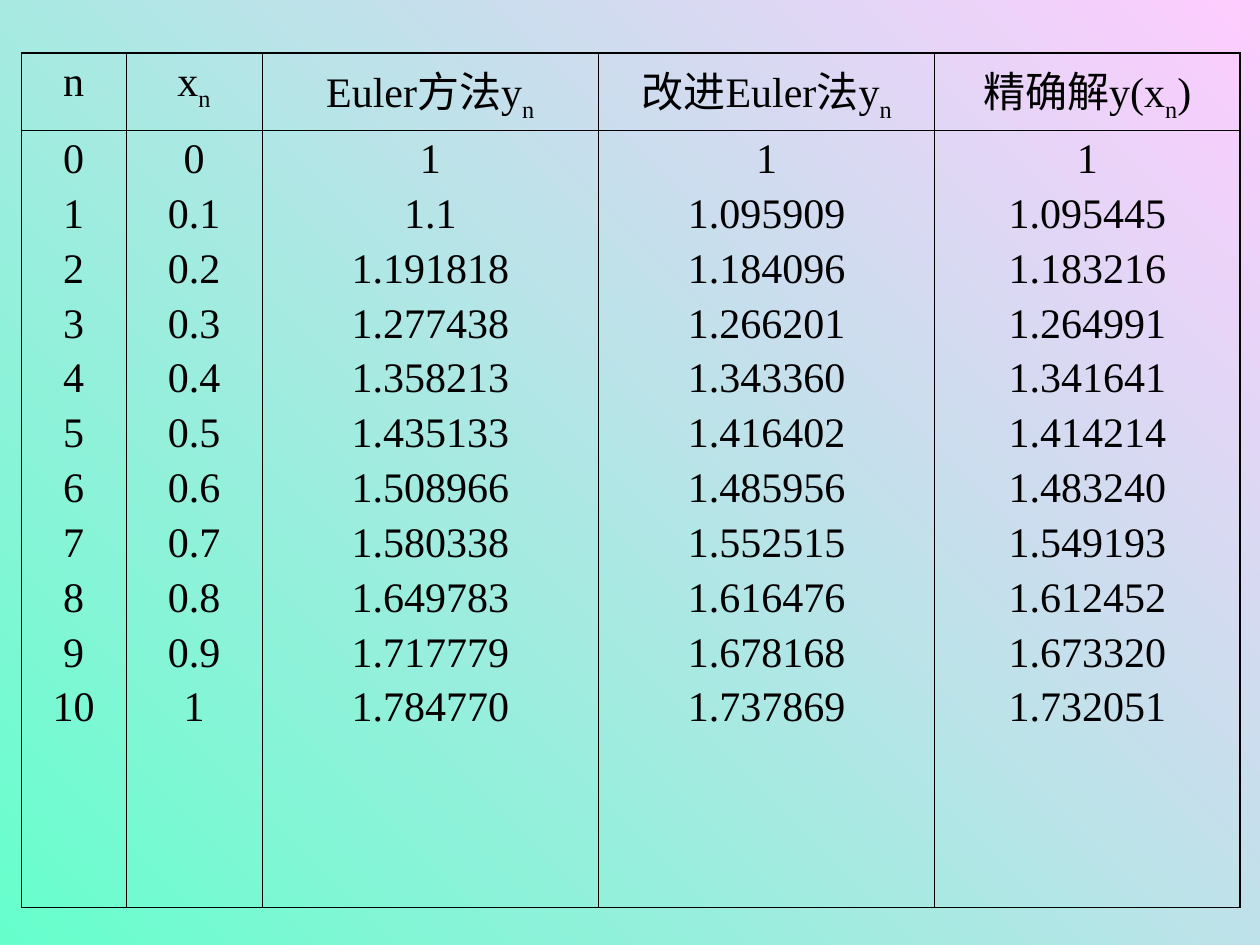
from dataclasses import dataclass

from lxml.etree import SubElement
from pptx import Presentation
from pptx.dml.color import RGBColor
from pptx.enum.text import PP_ALIGN
from pptx.oxml.ns import qn
from pptx.util import Inches, Pt


@dataclass(frozen=True)
class Theme:
    ink: str = "000000"
    gradient: tuple = ("66FFCC", "FFCCFF")
    font: str = "Times New Roman"
    size: float = 24
    paragraph_gap: float = 4.8
    outer_line: float = 1.08
    inner_line: float = 0.45


theme = Theme()


def add_text(paragraph, text, subscript=False):
    run = paragraph.add_run()
    run.text = text
    run.font.name = theme.font
    run.font.size = Pt(theme.size)
    run.font.color.rgb = RGBColor.from_string(theme.ink)
    if subscript:
        run.font._element.set("baseline", "-25000")


def set_border(cell, side, width):
    line = SubElement(cell._tc.get_or_add_tcPr(), qn(f"a:ln{side}"), w=str(Pt(width)))
    fill = SubElement(line, qn("a:solidFill"))
    SubElement(fill, qn("a:srgbClr"), val=theme.ink)


headers = [
    ["n"],
    ["x", "n"],
    ["Euler方法y", "n"],
    ["改进Euler法y", "n"],
    ["精确解y(x", "n", ")"],
]
steps = range(11)
columns = [
    [str(step) for step in steps],
    [f"{step / 10:g}" for step in steps],
    ["1", "1.1", "1.191818", "1.277438", "1.358213", "1.435133",
     "1.508966", "1.580338", "1.649783", "1.717779", "1.784770"],
    ["1", "1.095909", "1.184096", "1.266201", "1.343360", "1.416402",
     "1.485956", "1.552515", "1.616476", "1.678168", "1.737869"],
    ["1", "1.095445", "1.183216", "1.264991", "1.341641", "1.414214",
     "1.483240", "1.549193", "1.612452", "1.673320", "1.732051"],
]
column_widths = [0.83, 1.08, 2.67, 2.67, 2.42]
row_heights = [0.57, 6.17]

presentation = Presentation()
presentation.slide_width = Inches(10)
presentation.slide_height = Inches(7.5)
slide = presentation.slides.add_slide(presentation.slide_layouts[6])

background = slide.background.fill
background.gradient()
background.gradient_angle = 45
for stop, color, position in zip(background.gradient_stops, theme.gradient, (0, 1)):
    stop.color.rgb = RGBColor.from_string(color)
    stop.position = position

table = slide.shapes.add_table(
    len(row_heights), len(column_widths), Inches(0.17), Inches(0.42),
    Inches(sum(column_widths)), Inches(sum(row_heights)),
).table
table.first_row = False
table.horz_banding = False
for column, width in zip(table.columns, column_widths):
    column.width = Inches(width)
for row, height in zip(table.rows, row_heights):
    row.height = Inches(height)

last_column = len(column_widths) - 1
for index, (header, values) in enumerate(zip(headers, columns)):
    header_cell, values_cell = table.cell(0, index), table.cell(1, index)

    paragraph = header_cell.text_frame.paragraphs[0]
    paragraph.alignment = PP_ALIGN.CENTER
    for part, text in enumerate(header):
        add_text(paragraph, text, subscript=part == 1)

    for position, value in enumerate(values):
        frame = values_cell.text_frame
        paragraph = frame.add_paragraph() if position else frame.paragraphs[0]
        paragraph.alignment = PP_ALIGN.CENTER
        paragraph.space_before = Pt(theme.paragraph_gap if position else 0)
        add_text(paragraph, value)

    for cell in (header_cell, values_cell):
        outer_sides = {
            "L": index == 0,
            "R": index == last_column,
            "T": cell is header_cell,
            "B": cell is values_cell,
        }
        for side, outer in outer_sides.items():
            set_border(cell, side, theme.outer_line if outer else theme.inner_line)
        cell.fill.background()

presentation.save("out.pptx")
